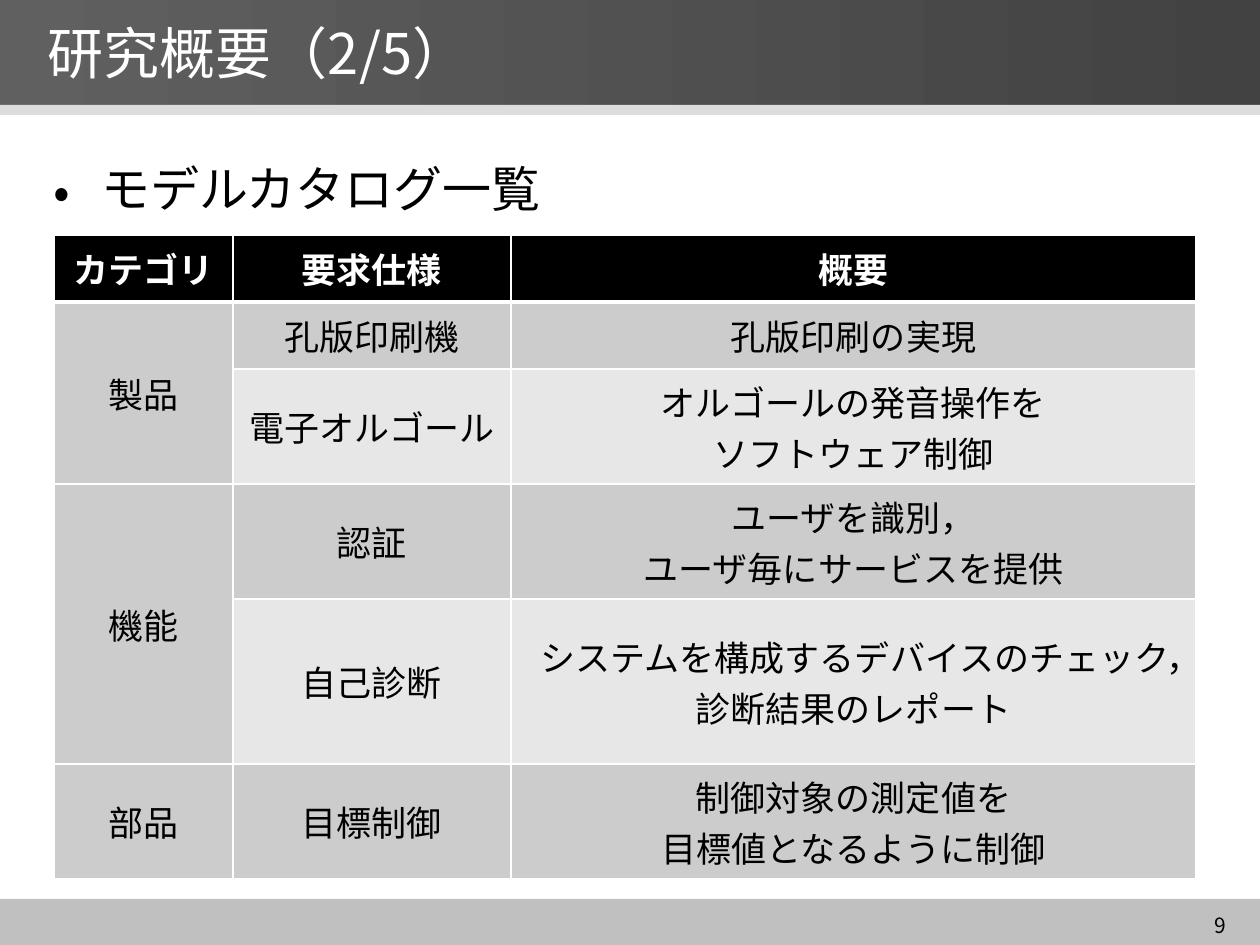
"""Build the model catalogue slide."""
from itertools import product
from lxml.etree import SubElement
from pptx import Presentation
from pptx.dml.color import RGBColor
from pptx.enum.shapes import MSO_SHAPE
from pptx.enum.text import MSO_ANCHOR, PP_ALIGN
from pptx.oxml.ns import qn
from pptx.util import Pt

TITLE = "研究概要（2/5）"
TOPIC = "モデルカタログ一覧"
PAGE = "9"
ROWS = [
    ("カテゴリ", "要求仕様", "概要"),
    ("製品", "孔版印刷機", "孔版印刷の実現"),
    ("", "電子オルゴール", "オルゴールの発音操作を\nソフトウェア制御"),
    ("機能", "認証", "ユーザを識別，\vユーザ毎にサービスを提供"),
    ("", "自己診断", "システムを構成するデバイスのチェック，\n診断結果のレポート"),
    ("部品", "目標制御", "制御対象の測定値を\n目標値となるように制御"),
]
MERGES = [(1, 2), (3, 4)]
WIDTHS = [179, 278, 685]
HEIGHTS = [67, 67, 115, 115, 165, 115]

FONT = "Noto Sans CJK JP"
BLACK = RGBColor(0, 0, 0)
WHITE = RGBColor(255, 255, 255)
DARK = RGBColor(0x60, 0x60, 0x60)
DEEP = RGBColor(0x42, 0x42, 0x42)
RULE = RGBColor(0xDD, 0xDD, 0xDD)
FOOT = RGBColor(0xC0, 0xC0, 0xC0)
ODD = RGBColor(0xCC, 0xCC, 0xCC)
EVEN = RGBColor(0xE7, 0xE7, 0xE7)
SCALE = 914400 // 126


def px(*nums):
    return [round(num * SCALE) for num in nums]


def style(para, size, color, align=PP_ALIGN.LEFT, bold=False):
    font = para.font
    font.size, font.bold, font.name = Pt(size), bold, FONT
    font.color.rgb = color
    SubElement(para._p.pPr.find(qn("a:defRPr")), qn("a:ea"), typeface=FONT)
    para.alignment = align


def bar(top, height, color, end=None):
    shape = slide.shapes.add_shape(MSO_SHAPE.RECTANGLE, *px(0, top, 1260, height))
    shape.shadow.inherit = False
    shape.line.fill.background()
    if end is None:
        shape.fill.solid()
        shape.fill.fore_color.rgb = color
        return
    shape.fill.gradient()
    shape.fill.gradient_angle = 0
    for stop, tone in zip(shape.fill.gradient_stops, (color, end)):
        stop.color.rgb = tone


def label(text, box, size, align=PP_ALIGN.LEFT):
    frame = slide.shapes.add_textbox(*px(*box)).text_frame
    frame.word_wrap = True
    frame.text = text
    style(frame.paragraphs[0], size, BLACK, align)
    return frame


def edge(cell, side, width):
    line = SubElement(cell._tc.get_or_add_tcPr(), qn("a:ln" + side), w=str(Pt(width)))
    fill = SubElement(line, qn("a:solidFill"))
    SubElement(fill, qn("a:srgbClr"), val=str(WHITE))


deck = Presentation()
deck.slide_width, deck.slide_height = px(1260, 945)
slide = deck.slides.add_slide(deck.slide_layouts[5])
title = slide.shapes.title

bar(899, 46, FOOT)
bar(0, 105, DARK, DEEP)
bar(105, 10, RULE)

slide.shapes._spTree.append(title._element)
title.left, title.top, title.width, title.height = px(35, 0, 1183, 105)
title.text_frame.text = TITLE
title.text_frame.vertical_anchor = MSO_ANCHOR.MIDDLE
style(title.text_frame.paragraphs[0], 32, WHITE)

topic = label(TOPIC, (41, 141, 1187, 752), 28).paragraphs[0]
topic.line_spacing = 1.2
topic.space_before = Pt(5.6)
props = topic._p.pPr
indent = px(48)[0]
props.set("marL", str(indent))
props.set("indent", str(-indent))
for tag, attrs in (("a:buFont", {"typeface": FONT}), ("a:buChar", {"char": "•"})):
    mark = SubElement(props, qn(tag), attrs)
    props.find(qn("a:defRPr")).addprevious(mark)

table = slide.shapes.add_table(
    len(ROWS), len(WIDTHS), *px(54, 235, sum(WIDTHS), sum(HEIGHTS))
).table
for col, width in zip(table.columns, px(*WIDTHS)):
    col.width = width
for row, height in zip(table.rows, px(*HEIGHTS)):
    row.height = height

for r, c in product(range(len(ROWS)), range(len(WIDTHS))):
    cell = table.cell(r, c)
    head = r == 0
    cell.text = ROWS[r][c]
    cell.vertical_anchor = MSO_ANCHOR.MIDDLE
    for para in cell.text_frame.paragraphs:
        style(para, 20, WHITE if head else BLACK, PP_ALIGN.CENTER, head)
    for side in "LRTB":
        thick = (head and side == "B") or (r == 1 and side == "T")
        edge(cell, side, 3 if thick else 1)
    cell.fill.solid()
    body = ODD if r % 2 or c == 0 else EVEN
    cell.fill.fore_color.rgb = BLACK if head else body
for first, last in MERGES:
    table.cell(first, 0).merge(table.cell(last, 0))

number = label(PAGE, (1158, 913, 81, 25), 12, PP_ALIGN.RIGHT)
number.vertical_anchor = MSO_ANCHOR.MIDDLE

deck.save("out.pptx")
